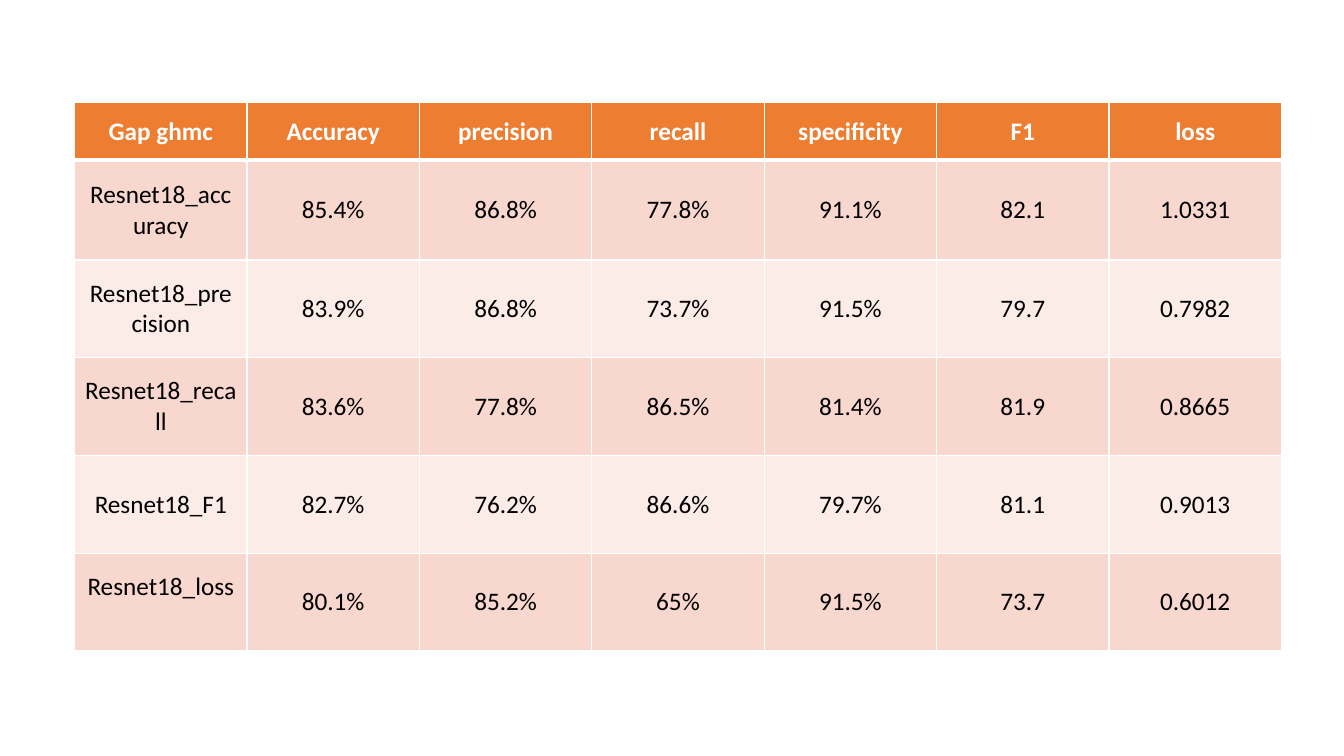
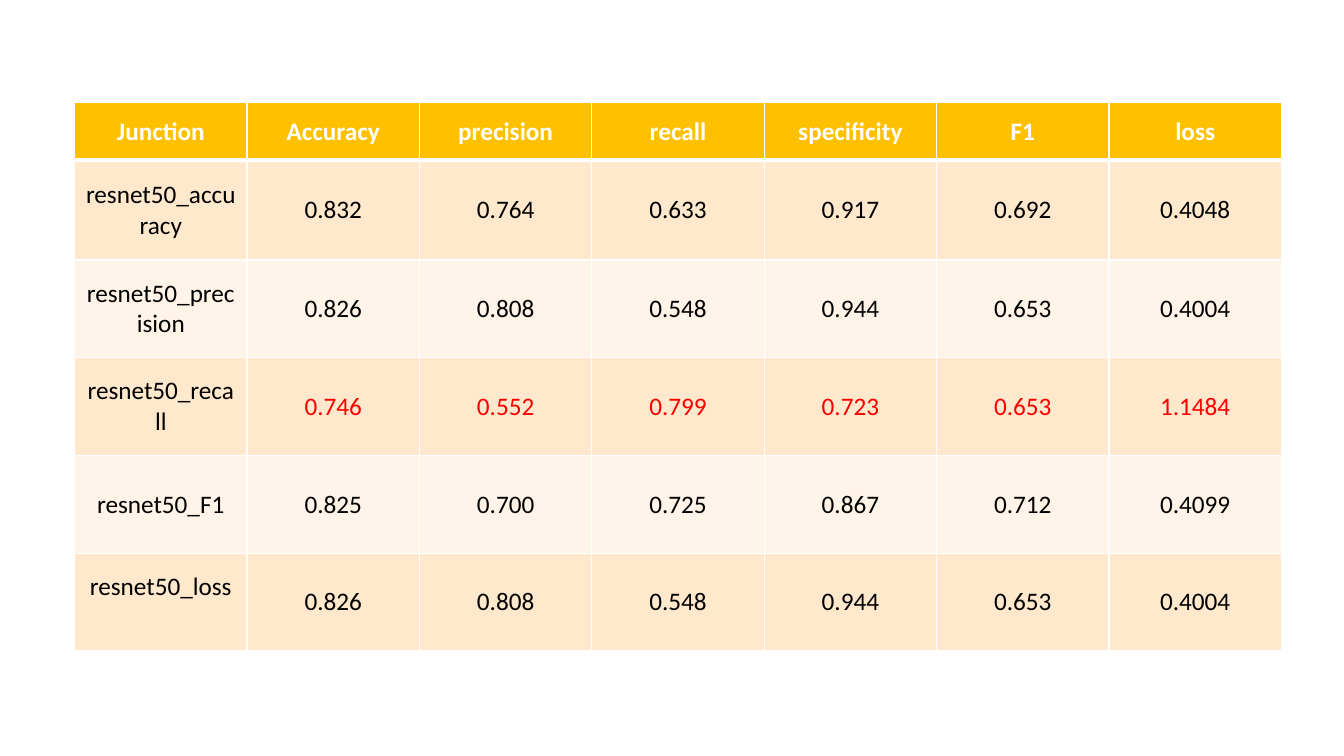
from lxml.etree import SubElement
from pptx import Presentation
from pptx.dml.color import RGBColor
from pptx.enum.text import MSO_ANCHOR as Anchor, PP_ALIGN as Align
from pptx.oxml.ns import qn
from pptx.util import Inches, Pt

COLORS = {
    "white": "FFFFFF", "black": "000000", "red": "FF0000",
    "orange": "ED7D31", "orange_mid": "F8D7CE", "orange_pale": "FCECE8",
    "gold": "FFC000", "gold_mid": "FFE8CC", "gold_pale": "FFF4E7",
}
FONT = "Calibri"
LEFT, TOP, TABLE_WIDTH = 0.74, 1.02, 11.97
ROW_HEIGHTS = [0.57, 0.99] + [0.97] * 4
METRICS = ["Accuracy", "precision", "recall", "specificity", "F1", "loss"]
LAST_LABEL_MARGIN = 0.35

TABLES = [
    {
        "theme": "orange", "corner": "Gap ghmc", "model": "Resnet18", "highlight": None,
        "scores": {
            "accuracy": ["85.4%", "86.8%", "77.8%", "91.1%", "82.1", "1.0331"],
            "precision": ["83.9%", "86.8%", "73.7%", "91.5%", "79.7", "0.7982"],
            "recall": ["83.6%", "77.8%", "86.5%", "81.4%", "81.9", "0.8665"],
            "F1": ["82.7%", "76.2%", "86.6%", "79.7%", "81.1", "0.9013"],
            "loss": ["80.1%", "85.2%", "65%", "91.5%", "73.7", "0.6012"],
        },
    },
    {
        "theme": "gold", "corner": "Junction", "model": "resnet50", "highlight": "recall",
        "scores": {
            "accuracy": ["0.832", "0.764", "0.633", "0.917", "0.692", "0.4048"],
            "precision": ["0.826", "0.808", "0.548", "0.944", "0.653", "0.4004"],
            "recall": ["0.746", "0.552", "0.799", "0.723", "0.653", "1.1484"],
            "F1": ["0.825", "0.700", "0.725", "0.867", "0.712", "0.4099"],
            "loss": ["0.826", "0.808", "0.548", "0.944", "0.653", "0.4004"],
        },
    },
]


def write_cell(cell, text, color="black", fill="white", bold=False):
    cell.fill.solid()
    cell.fill.fore_color.rgb = RGBColor.from_string(COLORS[fill])
    cell.vertical_anchor = Anchor.MIDDLE
    paragraph = cell.text_frame.paragraphs[0]
    paragraph.alignment = Align.CENTER
    run = paragraph.add_run()
    run.text = text
    run.font.name, run.font.size, run.font.bold = FONT, Pt(18), bold
    run.font.color.rgb = RGBColor.from_string(COLORS[color])


def draw_borders(cell, top, bottom):
    properties = cell._tc.get_or_add_tcPr()
    for side, points in (("L", 1), ("R", 1), ("T", top), ("B", bottom)):
        line = SubElement(properties, qn(f"a:ln{side}"), w=str(Pt(points)))
        solid = SubElement(line, qn("a:solidFill"))
        SubElement(solid, qn("a:srgbClr"), val=COLORS["white"])


presentation = Presentation()
presentation.slide_width, presentation.slide_height = Inches(13.33), Inches(7.5)

for data in TABLES:
    slide = presentation.slides.add_slide(presentation.slide_layouts[6])
    rows = [[data["corner"], *METRICS]]
    rows += [[f"{data['model']}_{name}", *values] for name, values in data["scores"].items()]
    highlighted_row = data["highlight"] and list(data["scores"]).index(data["highlight"]) + 1

    table = slide.shapes.add_table(
        len(rows), len(rows[0]), Inches(LEFT), Inches(TOP),
        Inches(TABLE_WIDTH), Inches(sum(ROW_HEIGHTS)),
    ).table
    for row, height in zip(table.rows, ROW_HEIGHTS):
        row.height = Inches(height)

    for row_index, texts in enumerate(rows):
        header = row_index == 0
        shade = "" if header else "_mid" if row_index % 2 else "_pale"
        for column_index, text in enumerate(texts):
            cell = table.cell(row_index, column_index)
            highlighted = row_index == highlighted_row and column_index > 0
            color = "white" if header else "red" if highlighted else "black"
            draw_borders(cell, top=3 if row_index == 1 else 1, bottom=3 if header else 1)
            write_cell(cell, text, color=color, fill=data["theme"] + shade, bold=header)

    table.cell(len(rows) - 1, 0).margin_bottom = Inches(LAST_LABEL_MARGIN)

presentation.save("out.pptx")
